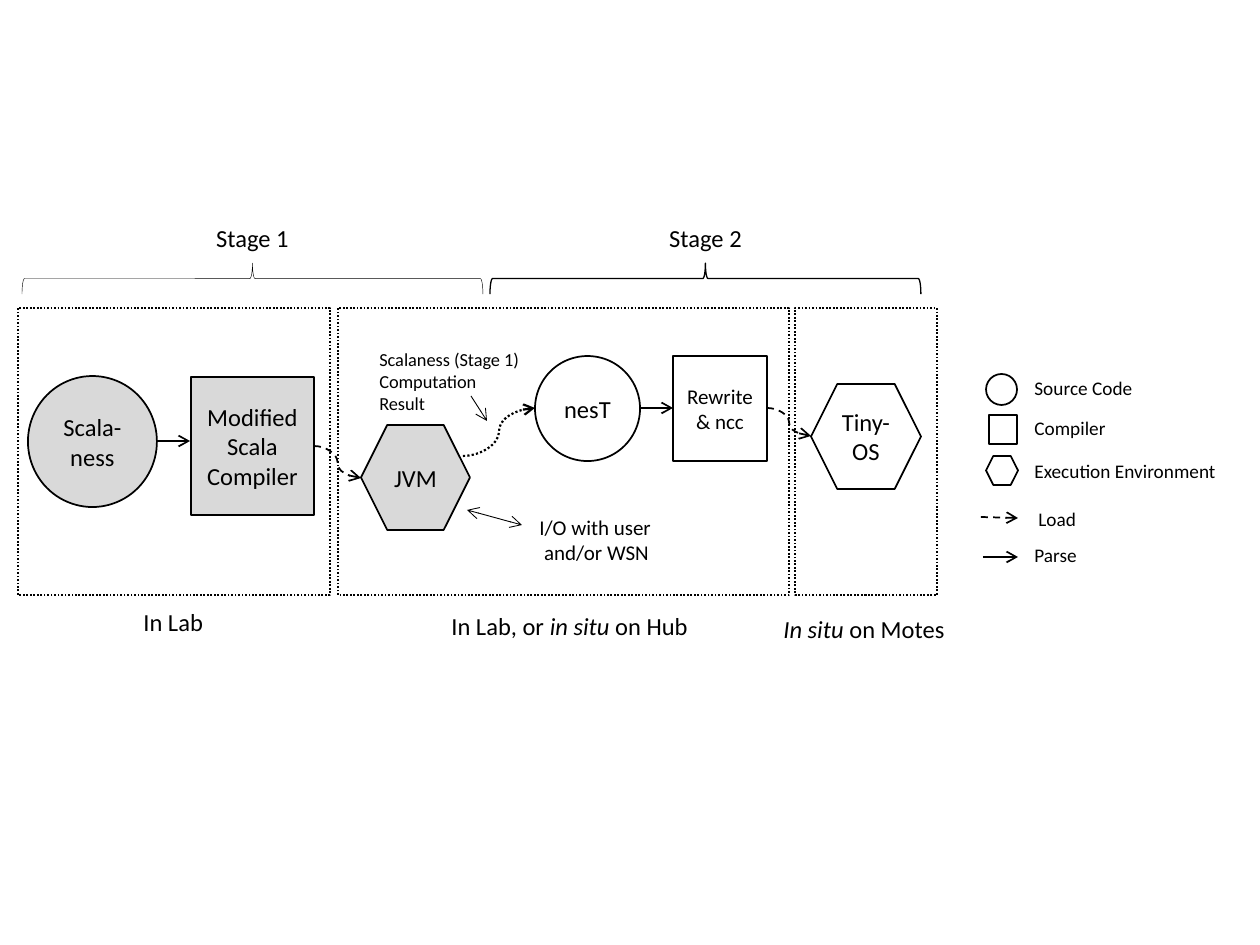
from dataclasses import dataclass

from lxml.etree import SubElement
from pptx import Presentation
from pptx.dml.color import RGBColor
from pptx.enum.dml import MSO_LINE
from pptx.enum.shapes import MSO_CONNECTOR, MSO_SHAPE
from pptx.enum.text import MSO_ANCHOR, PP_ALIGN
from pptx.oxml.ns import qn
from pptx.util import Emu, Pt


@dataclass(frozen=True)
class Theme:
    font: str = "Calibri"
    ink: RGBColor = RGBColor(0, 0, 0)
    paper: RGBColor = RGBColor(255, 255, 255)
    shade: RGBColor = RGBColor(0xD9, 0xD9, 0xD9)
    title: float = 14
    body: float = 12
    key: float = 11
    note: float = 10.5


T = Theme()
SCALE = 914400 / 126
OVAL, RECT, HEXAGON = MSO_SHAPE.OVAL, MSO_SHAPE.RECTANGLE, MSO_SHAPE.HEXAGON
LOAD, RESULT = MSO_LINE.DASH, MSO_LINE.ROUND_DOT
PANEL_TOP, PANEL_HEIGHT = 308, 287


def px(*values):
    return [Emu(round(v * SCALE)) for v in values]


def write(tf, lines, size, align):
    for i, line in enumerate(lines):
        p = tf.paragraphs[0] if i == 0 else tf.add_paragraph()
        p.alignment = align
        p.font.name, p.font.size, p.font.color.rgb = T.font, Pt(size), T.ink
        for j, part in enumerate(line.split("*")):
            if part:
                r = p.add_run()
                r.text = part
                if j % 2:
                    r.font.italic = True


def stroke(line, width, dash=None):
    line.color.rgb = T.ink
    line.width = Pt(width)
    if dash:
        line.dash_style = dash


def shape(s, kind, x, y, w, h, fill=None, text=None, size=T.title, width=1, dash=None):
    sp = s.shapes.add_shape(kind, *px(x, y, w, h))
    sp.shadow.inherit = False
    if fill is None:
        sp.fill.background()
    else:
        sp.fill.solid()
        sp.fill.fore_color.rgb = fill
    stroke(sp.line, width, dash)
    if text:
        sp.text_frame.vertical_anchor = MSO_ANCHOR.MIDDLE
        write(sp.text_frame, [text], size, PP_ALIGN.CENTER)
    return sp


def label(s, x, y, w, h, lines, size=T.title, wrap=True, align=PP_ALIGN.LEFT):
    tf = s.shapes.add_textbox(*px(x, y, w, h)).text_frame
    tf.word_wrap = wrap
    write(tf, lines, size, align)


def arrow(s, x1, y1, x2, y2, width=1, dash=None, curved=False, both=False):
    kind = MSO_CONNECTOR.CURVE if curved else MSO_CONNECTOR.STRAIGHT
    c = s.shapes.add_connector(kind, *px(x1, y1, x2, y2))
    stroke(c.line, width, dash)
    ln = c.line._get_or_add_ln()
    for end in ("a:headEnd", "a:tailEnd") if both else ("a:tailEnd",):
        SubElement(ln, qn(end), type="arrow")
    SubElement(c._element.spPr, qn("a:effectLst"))


def panel(s, x, y, w, h):
    shape(s, RECT, x, y, w, h, dash=RESULT)


def stage(s, x, y, w, h, name, width):
    sp = shape(s, MSO_SHAPE.RIGHT_BRACE, x + (w - h) / 2, y + (h - w) / 2, h, w, width=width)
    sp.rotation = 270
    label(s, x + w / 2 - 49, y - 46, 98, 43, [name], wrap=False, align=PP_ALIGN.CENTER)


def lab(s, x, y, w, h):
    panel(s, x, y, w, h)
    shape(s, OVAL, x + 10, y + 68, 129, 131, T.shade, "Scala-ness")
    shape(s, RECT, x + 173, y + 69, 123, 138, T.shade, "Modified Scala Compiler")
    arrow(s, x + 139, y + 133, x + 172, y + 133)
    arrow(s, x + 296, y + 138, x + 343, y + 170, dash=LOAD, curved=True)
    label(s, x + 113, y + h + 6, 86, 43, ["In Lab"])


def hub(s, x, y, w, h):
    panel(s, x, y, w, h)
    shape(s, HEXAGON, x + 23, y + 117, 109, 105, T.shade, "JVM")
    shape(s, OVAL, x + 197, y + 48, 105, 105, T.paper, "nesT")
    shape(s, RECT, x + 335, y + 48, 94, 105, T.paper, "Rewrite & ncc", T.body)
    arrow(s, x + 302, y + 100, x + 335, y + 100)
    arrow(s, x + 429, y + 100, x + 473, y + 128, dash=LOAD, curved=True)
    arrow(s, x + 125, y + 148, x + 197, y + 100, 1.25, RESULT, True)
    arrow(s, x + 129, y + 202, x + 184, y + 217, 0.5, both=True)
    label(s, x + 189, y + 200, 149, 63, ["I/O with user", " and/or WSN"], T.body)
    label(s, x + 29, y + 34, 179, 79, ["Scalaness (Stage 1)", "Computation", "Result"], T.note)
    arrow(s, x + 133, y + 88, x + 149, y + 113, 0.5)
    label(s, x + 101, y + h + 10, 354, 43, ["In Lab, or *in situ *on Hub"])


def motes(s, x, y, w, h):
    panel(s, x, y, w, h)
    shape(s, HEXAGON, x + 16, y + 76, 110, 105, T.paper, "Tiny-OS")
    label(s, x - 24, y + h + 13, 210, 43, ["*In situ *on Motes"])


def legend(s, x, y):
    icons = [
        (OVAL, 5, 5, 31, 31, "Source Code", 1),
        (RECT, 8, 46, 28, 29, "Compiler", 41),
        (HEXAGON, 5, 87, 32, 29, "Execution Environment", 84),
    ]
    for kind, dx, dy, w, h, name, top in icons:
        shape(s, kind, x + dx, y + dy, w, h, T.paper)
        label(s, x + 41, y + top, 209, 37, [name], T.key)
    for dx, y1, y2, dash, name, left, top in [
        (0, 148, 149, LOAD, "Load", 45, 132),
        (2, 188, 188, None, "Parse", 41, 168),
    ]:
        arrow(s, x + dx, y + y1, x + 37, y + y2, dash=dash)
        label(s, x + left, y + top, 70, 37, [name], T.key)


prs = Presentation()
prs.slide_width, prs.slide_height = px(1260, 945)
s = prs.slides.add_slide(prs.slide_layouts[6])
stage(s, 22, 263, 461, 31, "Stage 1", 0.25)
stage(s, 490, 263, 431, 31, "Stage 2", 0.75)
for region, left, width in [(lab, 18, 312), (hub, 338, 451), (motes, 795, 142)]:
    region(s, left, PANEL_TOP, width, PANEL_HEIGHT)
legend(s, 981, 369)
prs.save("out.pptx")
